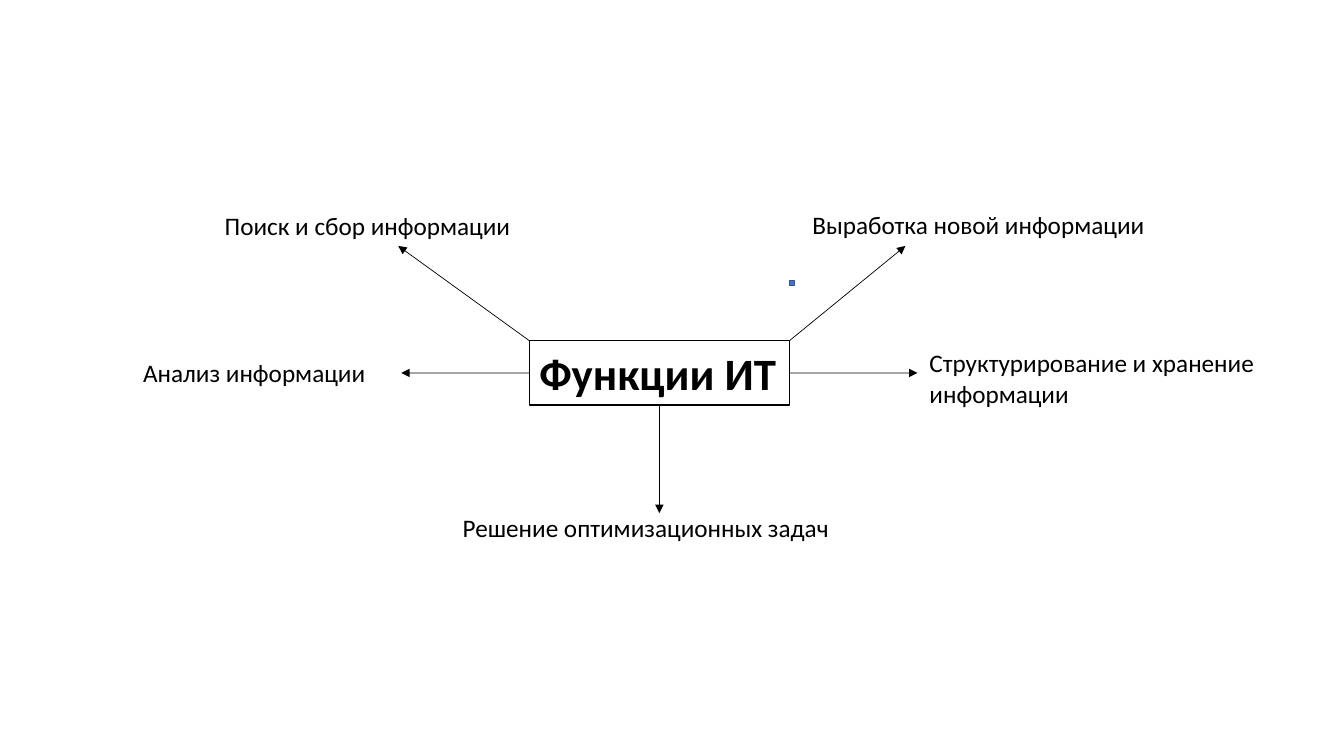
"""Build a slide with a mind map of the functions of information technology."""
from lxml import etree
from pptx import Presentation
from pptx.dml.color import RGBColor
from pptx.enum.shapes import MSO_CONNECTOR, MSO_SHAPE
from pptx.enum.text import MSO_ANCHOR, PP_ALIGN
from pptx.oxml.ns import qn
from pptx.util import Inches, Pt

RECT = MSO_SHAPE.RECTANGLE
STRAIGHT = MSO_CONNECTOR.STRAIGHT
TOP = MSO_ANCHOR.TOP
LEFT = PP_ALIGN.LEFT
BLACK = RGBColor(0x00, 0x00, 0x00)
WHITE = RGBColor(0xFF, 0xFF, 0xFF)
BLUE = RGBColor(0x44, 0x72, 0xC4)
DARK_BLUE = RGBColor(0x32, 0x54, 0x91)
FONT = "Calibri"

HUB = (5.25, 3.38, 2.58, 0.64)
# Text, label box, share of the hub's width and height where the arrow starts, arrow tip
BRANCHES = [
    ("Выработка новой информации", (7.96, 2.03, 3.94, 0.4), (1, 0), (8.98, 2.44)),
    ("Структурирование и хранение информации", (9.12, 3.4, 4.05, 0.71), (1, 0.5), (9.1, 3.7)),
    ("Решение оптимизационных задач", (4.49, 5.03, 4.09, 0.4), (0.5, 1), (6.54, 5.09)),
    ("Анализ информации", (1.32, 3.5, 3.11, 0.4), (0, 0.5), (3.98, 3.7)),
    ("Поиск и сбор информации", (2.13, 2.04, 3.11, 0.4), (0, 0), (3.95, 2.44)),
]


def write(sp, text, size=18, bold=False):
    """Put formatted text into a shape."""
    tf = sp.text_frame
    tf.word_wrap = True
    tf.vertical_anchor = TOP
    p = tf.paragraphs[0]
    p.alignment = LEFT
    r = p.add_run()
    r.text = text
    r.font.name = FONT
    r.font.size = Pt(size)
    r.font.bold = bold
    r.font.color.rgb = BLACK


def add_rect(s, box, fill, line):
    """Add a filled and outlined rectangle."""
    sp = s.shapes.add_shape(RECT, *map(Inches, box))
    sp.shadow.inherit = False
    sp.fill.solid()
    sp.fill.fore_color.rgb = fill
    sp.line.color.rgb = line
    sp.line.width = Pt(1)
    return sp


def add_arrow(s, start, tip):
    """Add a thin arrow from start to tip."""
    sp = s.shapes.add_connector(STRAIGHT, *map(Inches, (*start, *tip)))
    sp.line.color.rgb = BLACK
    sp.line.width = Pt(0.5)
    etree.SubElement(sp.line._get_or_add_ln(), qn("a:tailEnd"), type="triangle")
    etree.SubElement(sp._element.spPr, qn("a:effectLst"))


def add_mind_map(s, hub, title, branches):
    """Draw the hub and the labelled arrows that leave it."""
    x, y, w, h = hub
    write(add_rect(s, hub, WHITE, BLACK), title, size=32, bold=True)
    for text, box, (fx, fy), tip in branches:
        add_arrow(s, (x + fx * w, y + fy * h), tip)
        write(s.shapes.add_textbox(*map(Inches, box)), text)
    add_rect(s, (x + w, y - 0.6, 0.05, 0.05), BLUE, DARK_BLUE)


def main():
    """Create and save the presentation."""
    prs = Presentation()
    prs.slide_width = Inches(13.33)
    prs.slide_height = Inches(7.5)
    s = prs.slides.add_slide(prs.slide_layouts[6])
    add_mind_map(s, HUB, "Функции ИТ", BRANCHES)
    prs.save("out.pptx")


main()
